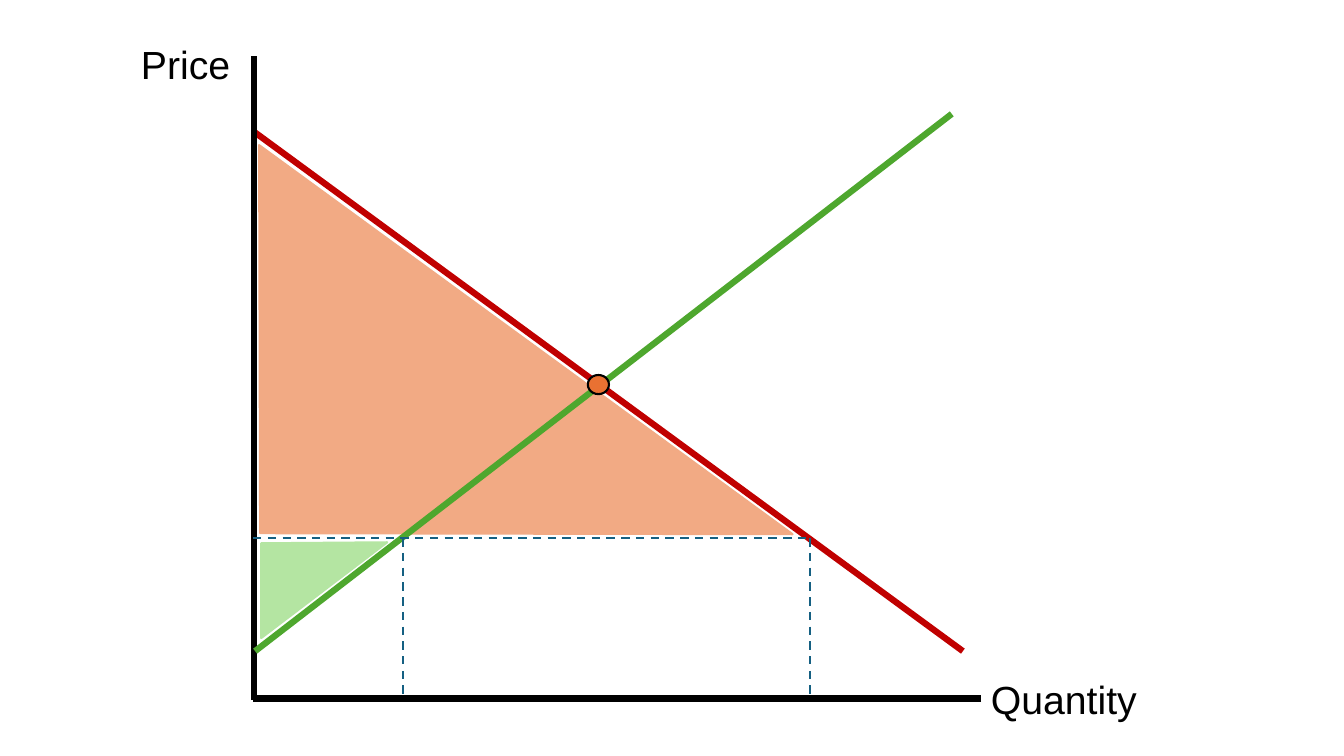
from lxml import etree
from pptx import Presentation
from pptx.dml.color import RGBColor as RGB
from pptx.enum.dml import MSO_LINE_DASH_STYLE as DASH
from pptx.enum.shapes import MSO_CONNECTOR as CONN, MSO_SHAPE as SHAPE
from pptx.enum.text import MSO_AUTO_SIZE as AUTO
from pptx.oxml.ns import qn
from pptx.util import Inches, Pt

COLORS = {
    "axis": "000000",
    "demand": "C00000",
    "supply": "4EA72E",
    "guide": "156082",
    "equilibrium": "E97132",
    "consumer": "F2AA84",
    "producer": "B4E5A2",
}
THICK, THIN = 4.5, 1.5
ORIGIN_X, AXIS_Y = 2.52, 6.93
CEILING_Y = 5.34
SUPPLIED_X, DEMANDED_X = 4, 8.03


class Diagram:
    def __init__(self, slide):
        self.shapes = slide.shapes
        self.font = {"name": "Arial", "size": Pt(28)}

    def color(self, key):
        return RGB.from_string(COLORS[key])

    def paint(self, s, fill, line):
        s.shadow.inherit = False
        s.fill.solid()
        s.fill.fore_color.rgb = self.color(fill)
        s.line.color.rgb = self.color(line)
        s.line.width = Pt(THIN)

    def line(self, start, end, color, width=THICK, dash=None):
        s = self.shapes.add_connector(
            CONN.STRAIGHT, *(Inches(v) for v in (*start, *end)))
        s.line.color.rgb = self.color(color)
        s.line.width = Pt(width)
        if dash:
            s.line.dash_style = dash
        etree.SubElement(s._element.spPr, qn("a:effectLst"))

    def guide(self, start, end):
        self.line(start, end, "guide", THIN, DASH.DASH)

    def area(self, points, color):
        """Filled polygon through the given points."""
        pts = [(Inches(x), Inches(y)) for x, y in points]
        builder = self.shapes.build_freeform(*pts[0])
        builder.add_line_segments(pts[1:], close=True)
        self.paint(builder.convert_to_shape(), color, color)

    def dot(self, x, y, w, h, color):
        s = self.shapes.add_shape(
            SHAPE.OVAL, *(Inches(v) for v in (x, y, w, h)))
        self.paint(s, color, "axis")

    def label(self, text, x, y, w, h):
        s = self.shapes.add_textbox(*(Inches(v) for v in (x, y, w, h)))
        tf = s.text_frame
        tf.word_wrap = True
        tf.auto_size = AUTO.SHAPE_TO_FIT_TEXT
        r = tf.paragraphs[0].add_run()
        r.text = text
        for key, value in self.font.items():
            setattr(r.font, key, value)
        r.font.color.rgb = self.color("axis")


def main():
    prs = Presentation()
    prs.slide_width, prs.slide_height = Inches(13.33), Inches(7.5)
    d = Diagram(prs.slides.add_slide(prs.slide_layouts[6]))

    d.area([(2.58, 5.29), (7.86, 5.3), (2.57, 1.44)], "consumer")
    d.line((2.51, 1.3), (9.55, 6.46), "demand")
    d.line((ORIGIN_X, 0.56), (ORIGIN_X, 6.94), "axis")
    d.line((9.73, AXIS_Y), (2.51, AXIS_Y), "axis")
    d.label("Price", 1.3, 0.35, 1.21, 0.57)
    d.label("Quantity", 9.73, 6.65, 1.94, 0.57)
    d.line((2.53, 6.46), (9.44, 1.13), "supply")
    d.guide((2.51, CEILING_Y), (DEMANDED_X, CEILING_Y))
    for x in (DEMANDED_X, SUPPLIED_X):
        d.guide((x, CEILING_Y), (x, AXIS_Y))
    d.dot(5.83, 3.72, 0.21, 0.19, "equilibrium")
    d.area([(2.59, 5.39), (3.84, 5.38), (2.59, 6.33)], "producer")

    prs.save("out.pptx")


if __name__ == "__main__":
    main()
